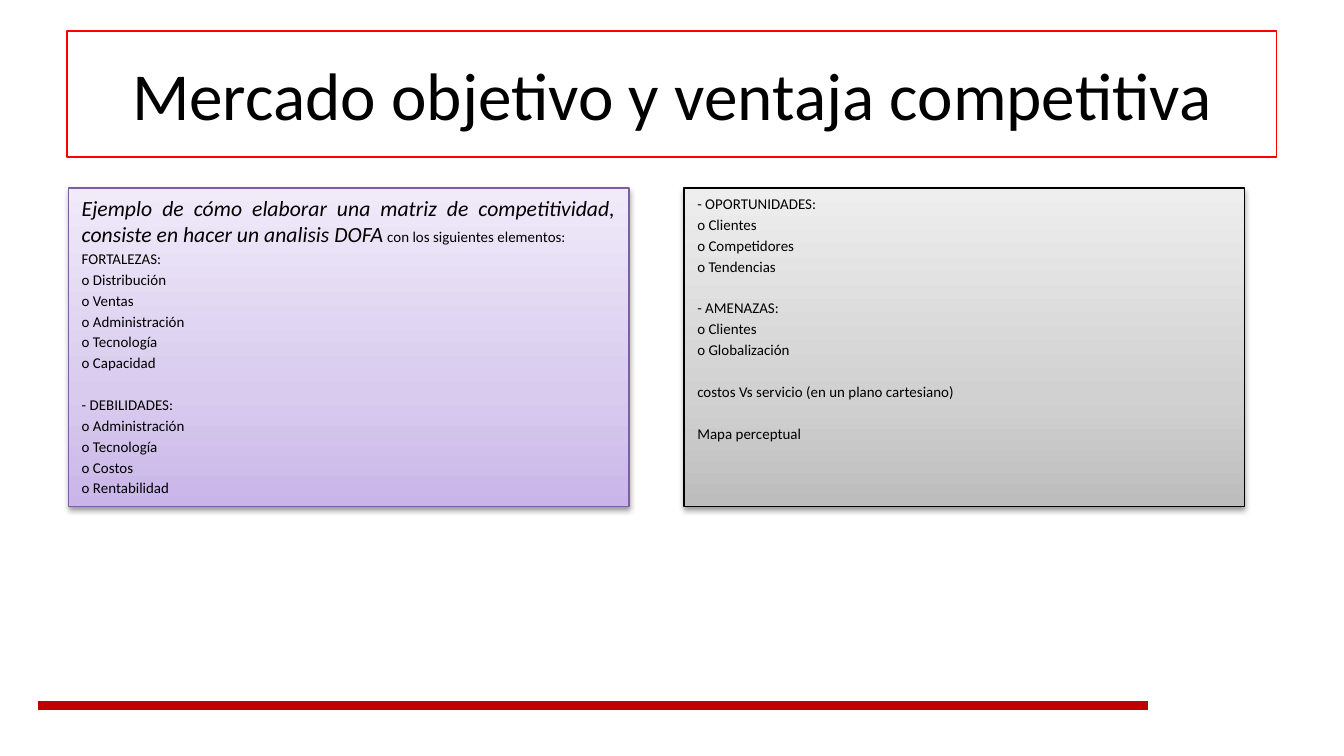
import pptx
import pptx.dml.color
import pptx.enum.shapes
import pptx.enum.text
import pptx.oxml
import pptx.oxml.ns
import pptx.util
from pptx.util import Inches

ALIGN = pptx.enum.text.PP_ALIGN
NS = pptx.oxml.ns.nsdecls("a")
qn = pptx.oxml.ns.qn


def rgb(value):
    return pptx.dml.color.RGBColor.from_string(value)


class SlideBuilder:
    """Hold the text style and the current slide, and draw each kind of element."""

    font = "Calibri"
    color = "000000"
    body_size = 8
    lead_size = 11.6
    gap = 1.6
    group_gap = 12.8

    def __init__(self, slide):
        self.s = slide

    def style(self, p, size, align):
        p.alignment = align
        p.font.name = self.font
        p.font.size = pptx.util.Pt(size)
        p.font.color.rgb = rgb(self.color)

    def box(self, x, y, w, h, line):
        sp = self.s.shapes.add_shape(
            pptx.enum.shapes.MSO_SHAPE.RECTANGLE, Inches(x), Inches(y), Inches(w), Inches(h))
        sp.shadow.inherit = False
        sp.line.color.rgb = rgb(line)
        sp.line.width = pptx.util.Pt(0.75)
        sp.text_frame.word_wrap = True
        return sp

    def title(self, text, x, y, w, h, line):
        sp = self.box(x, y, w, h, line)
        sp.fill.solid()
        sp.fill.fore_color.rgb = rgb("FFFFFF")
        tf = sp.text_frame
        tf.vertical_anchor = pptx.enum.text.MSO_ANCHOR.MIDDLE
        tf.text = text
        self.style(tf.paragraphs[0], 36, ALIGN.CENTER)

    def gradient(self, sp, stops):
        sp.fill.gradient()
        sp.fill.gradient_angle = 90
        gs_list = sp._element.spPr.find(qn("a:gradFill")).find(qn("a:gsLst"))
        gs_list.clear()
        for pos, value in stops:
            gs_list.append(pptx.oxml.parse_xml(
                f'<a:gs {NS} pos="{pos * 1000}"><a:srgbClr val="{value}"/></a:gs>'))

    def shadow(self, sp):
        blur, dist = pptx.util.Pt(3.1), pptx.util.Pt(1.6)
        sp._element.spPr.find(qn("a:effectLst")).append(pptx.oxml.parse_xml(
            f'<a:outerShdw {NS} blurRad="{blur}" dist="{dist}" dir="5400000" rotWithShape="0">'
            '<a:srgbClr val="000000"><a:alpha val="38000"/></a:srgbClr></a:outerShdw>'))

    def panel(self, groups, x, y, w, h, line, colors, lead=None):
        sp = self.box(x, y, w, h, line)
        self.gradient(sp, zip((0, 35, 100), colors))
        self.shadow(sp)
        tf = sp.text_frame
        tf.vertical_anchor = pptx.enum.text.MSO_ANCHOR.TOP
        p = tf.paragraphs[0]
        for g, group in enumerate(groups):
            for i, text in enumerate(group):
                if g or i:
                    p = tf.add_paragraph()
                    p.space_before = pptx.util.Pt(self.gap if i else self.group_gap)
                self.style(p, self.body_size, ALIGN.JUSTIFY)
                if lead and not (g or i):
                    r = p.add_run()
                    r.text = lead
                    r.font.size = pptx.util.Pt(self.lead_size)
                    r.font.italic = True
                p.add_run().text = text

    def rule(self, x1, x2, y, color, width):
        line = self.s.shapes.add_connector(
            pptx.enum.shapes.MSO_CONNECTOR.STRAIGHT, Inches(x1), Inches(y), Inches(x2), Inches(y))
        line.line.color.rgb = rgb(color)
        line.line.width = pptx.util.Pt(width)
        line._element.spPr.append(pptx.oxml.parse_xml(f"<a:effectLst {NS}/>"))


def main():
    prs = pptx.Presentation()
    prs.slide_width = Inches(10)
    prs.slide_height = prs.slide_width * 9 // 16
    b = SlideBuilder(prs.slides.add_slide(prs.slide_layouts[6]))

    b.title("Mercado objetivo y ventaja competitiva", 0.5, 0.23, 9, 0.94, "FF0000")
    strengths = [
        [" con los siguientes elementos:", "FORTALEZAS:", "o Distribución", "o Ventas",
         "o Administración", "o Tecnología", "o Capacidad"],
        ["- DEBILIDADES:", "o Administración", "o Tecnología", "o Costos", "o Rentabilidad"],
    ]
    opportunities = [
        ["- OPORTUNIDADES:", "o Clientes", "o Competidores", "o Tendencias"],
        ["- AMENAZAS:", "o Clientes", "o Globalización"],
        ["costos Vs servicio (en un plano cartesiano)"],
        ["Mapa perceptual"],
    ]
    top, width, height = 1.4, 4.17, 2.37
    b.panel(strengths, 0.51, top, width, height, "7D60A0", ("C9B5E8", "D8CBEE", "F0EAF9"),
            lead="Ejemplo de cómo elaborar una matriz de competitividad, "
                 "consiste en hacer un analisis DOFA")
    b.panel(opportunities, 5.09, top, width, height, "000000", ("BDBDBD", "D1D1D1", "EEEEEE"))
    b.rule(0.28, 8.54, 5.25, "C00000", 4.5)

    prs.save("out.pptx")


if __name__ == "__main__":
    main()
